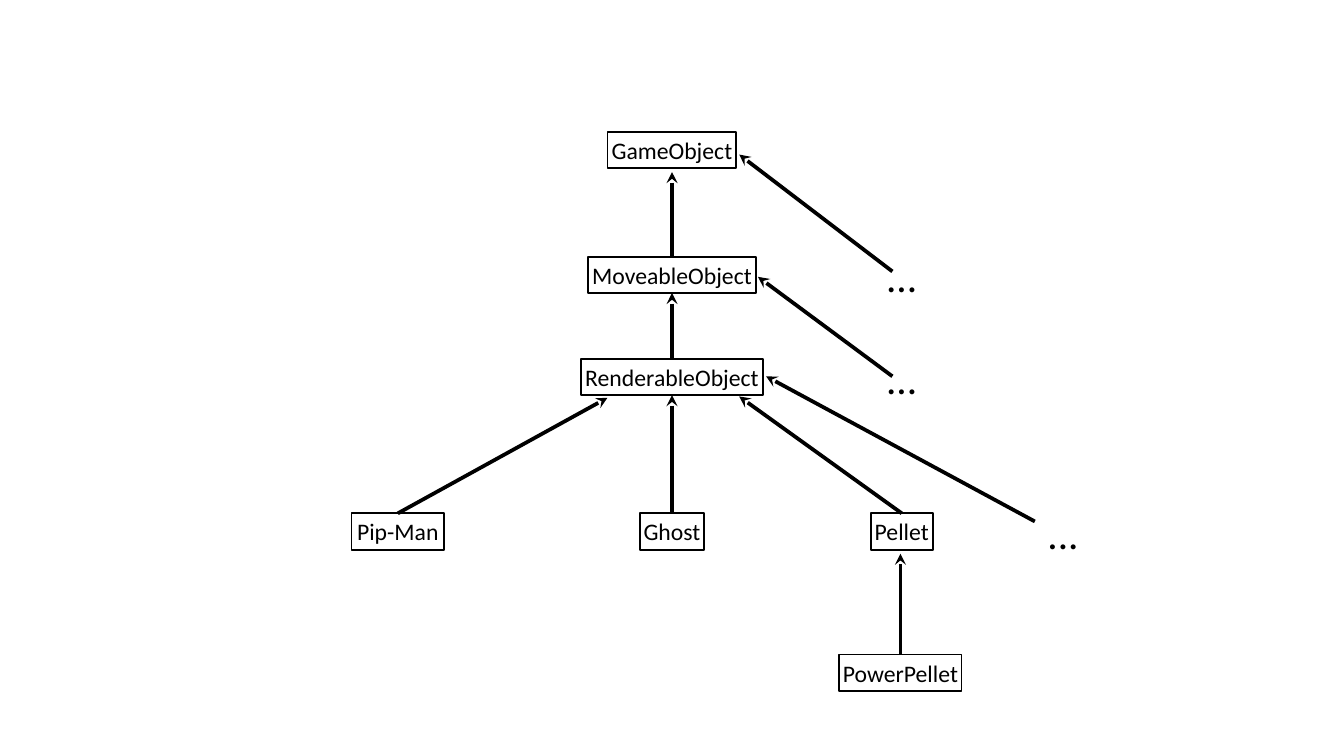
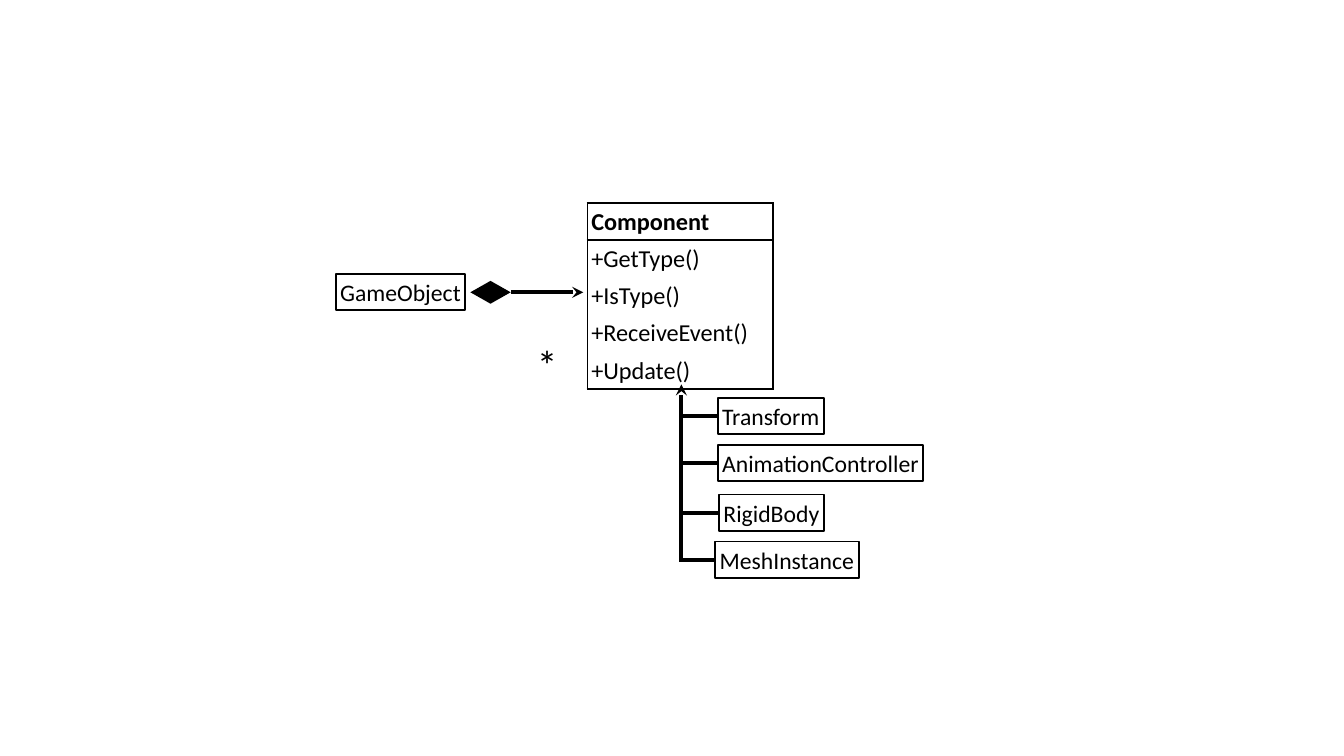
from collections import namedtuple

from lxml.etree import SubElement
from pptx import Presentation
from pptx.dml.color import RGBColor
from pptx.enum.shapes import MSO_CONNECTOR as Connector, MSO_SHAPE as Shape
from pptx.enum.text import MSO_ANCHOR as Anchor, MSO_AUTO_SIZE as AutoSize, PP_ALIGN as Align
from pptx.oxml.ns import qn
from pptx.util import Inches, Pt

COLOURS = {"ink": "000000"}
INK = RGBColor.from_string(COLOURS["ink"])
MARGINS = {f"margin_{side}": Inches(0.03) for side in ("left", "top", "right", "bottom")}
FRAME = {**MARGINS, "margin_left": Inches(0.02), "margin_right": Inches(0.02),
         "vertical_anchor": Anchor.MIDDLE, "word_wrap": False,
         "auto_size": AutoSize.SHAPE_TO_FIT_TEXT}
CELL = {**MARGINS, "vertical_anchor": Anchor.MIDDLE}
CLASS_FONT = {"name": "Calibri", "size": Pt(12.7)}
MARK_FONT = {"name": "Calibri", "size": Pt(22.1)}
MEMBER_FONT = {"name": "Calibri", "size": Pt(13)}
CLASS_HEIGHT, MARK_HEIGHT = 0.27, 0.43
TOP, LEFT, BOTTOM, RIGHT = range(4)

Box = namedtuple("Box", "left top width height")


def apply(target, values):
    """Set every attribute in values on target."""
    for name, value in values.items():
        setattr(target, name, value)


def write(para, text, font):
    """Put one run of ink-coloured text into a paragraph."""
    span = para.add_run()
    span.text = text
    apply(span.font, font)
    span.font.color.rgb = INK


def fill_label(shape, text, font):
    """Centre a line of text in a shape that fits its text."""
    apply(shape.text_frame, FRAME)
    para = shape.text_frame.paragraphs[0]
    para.alignment = Align.CENTER
    write(para, text, font)


def add_class(page, box, text, centre, top, width):
    """Draw an outlined class name centred on a column of the box."""
    shape = page.shapes.add_shape(
        Shape.RECTANGLE, Inches(box.left + centre - width / 2), Inches(box.top + top),
        Inches(width), Inches(CLASS_HEIGHT))
    shape.shadow.inherit = False
    shape.fill.background()
    shape.line.color.rgb = INK
    shape.line.width = Pt(1)
    fill_label(shape, text, CLASS_FONT)
    return shape


def add_mark(page, box, text, centre, top, width=0.3):
    """Write a large mark centred on a column of the box."""
    mark = page.shapes.add_textbox(
        Inches(box.left + centre - width / 2), Inches(box.top + top),
        Inches(width), Inches(MARK_HEIGHT))
    fill_label(mark, text, MARK_FONT)


def add_link(page, box, start, end, arrow=True):
    """Join two ends, each a point in the box or a shape with a side."""
    points = []
    for first, second in (start, end):
        joined = hasattr(first, "shape_id")
        points += [0, 0] if joined else [Inches(box.left + first), Inches(box.top + second)]
    link = page.shapes.add_connector(Connector.STRAIGHT, *points)
    for place, connect in ((start, link.begin_connect), (end, link.end_connect)):
        if hasattr(place[0], "shape_id"):
            connect(*place)
    link.line.color.rgb = INK
    link.line.width = Pt(2)
    properties = link.element.spPr
    if arrow:
        SubElement(properties.find(qn("a:ln")), qn("a:headEnd"), type="stealth")
    SubElement(properties, qn("a:effectLst"))


def set_borders(cell, visible):
    """Draw the visible sides of a cell and clear the others."""
    properties = cell._tc.get_or_add_tcPr()
    for side in "LRTB":
        line = SubElement(properties, qn(f"a:ln{side}"), w=str(Pt(1)))
        if side in visible:
            fill = SubElement(line, qn("a:solidFill"))
            SubElement(fill, qn("a:srgbClr"), val=COLOURS["ink"])
        else:
            SubElement(line, qn("a:noFill"))


def draw_component(page, box):
    """Draw the class table with its name and members."""
    rows = ["Component", "+GetType()", "+IsType()", "+ReceiveEvent()", "+Update()"]
    table = page.shapes.add_table(len(rows), 1, *map(Inches, box)).table
    apply(table, {"first_row": False, "horz_banding": False})
    for index, text in enumerate(rows):
        cell = table.cell(index, 0)
        apply(cell, CELL)
        sides = {0: "LRTB", 1: "LRT", len(rows) - 1: "LRB"}.get(index, "LR")
        set_borders(cell, sides)
        cell.fill.background()
        write(cell.text_frame.paragraphs[0], text, {**MEMBER_FONT, "bold": index == 0})


def draw_hierarchy(page, box):
    """Draw the inheritance tree of game classes."""
    classes = [
        ("GameObject", 2.4, 0.03, 0.96), ("MoveableObject", 2.4, 0.96, 1.25),
        ("RenderableObject", 2.4, 1.72, 1.35), ("Pip-Man", 0.36, 2.87, 0.69),
        ("Ghost", 2.4, 2.87, 0.48), ("Pellet", 4.11, 2.87, 0.46),
        ("PowerPellet", 4.1, 3.92, 0.91),
    ]
    node = {item[0]: add_class(page, box, *item) for item in classes}
    for centre, top in ((5.31, 2.8), (4.11, 1.65), (4.11, 0.89)):
        add_mark(page, box, "...", centre, top)
    links = [
        ((2.4, 0.33), (node["MoveableObject"], TOP)),
        ((node["MoveableObject"], BOTTOM), (node["RenderableObject"], TOP)),
        ((node["RenderableObject"], BOTTOM), (node["Ghost"], TOP)),
        ((1.92, 2.01), (node["Pip-Man"], TOP)),
        ((2.9, 2), (node["Pellet"], TOP)),
        ((4.1, 3.17), (node["PowerPellet"], TOP)),
        ((2.9, 0.2), (4.04, 1.07)),
        ((3.04, 1.11), (4.04, 1.85)),
        ((3.1, 1.85), (5.1, 2.93)),
    ]
    for start, end in links:
        add_link(page, box, start, end)


def draw_subclasses(page, box):
    """Draw the component kinds hanging from one trunk."""
    add_link(page, box, (0, 0), (0, 1.32))
    kinds = [("Transform", 0.27, 0.1, 0.79), ("AnimationController", 0.27, 0.45, 1.53),
             ("RigidBody", 0.28, 0.82, 0.78), ("MeshInstance", 0.25, 1.17, 1.07)]
    for text, left, top, width in kinds:
        kind = add_class(page, box, text, left + width / 2, top, width)
        add_link(page, box, (kind, LEFT), (0, top + CLASS_HEIGHT / 2), arrow=False)


def draw_owner(page, box):
    """Draw the game object that is composed of many components."""
    add_class(page, box, "GameObject", 0.48, 0, 0.96)
    middle, diamond_height = CLASS_HEIGHT / 2, 0.17
    diamond = page.shapes.add_shape(
        Shape.DIAMOND, Inches(box.left + 1), Inches(box.top + middle - diamond_height / 2),
        Inches(0.3), Inches(diamond_height))
    diamond.shadow.inherit = False
    diamond.fill.solid()
    diamond.fill.fore_color.rgb = INK
    diamond.line.fill.background()
    add_link(page, box, (1.84, middle), (diamond, RIGHT))
    add_mark(page, box, "*", 1.57, 0.45, 0.21)


def main():
    """Build the two class diagrams and save the deck."""
    deck = Presentation()
    apply(deck, {"slide_width": Inches(10), "slide_height": Inches(10) * 9 // 16})
    diagrams = [
        [(draw_hierarchy, Box(2.6, 0.95, 5.5, 4.2))],
        [(draw_subclasses, Box(5.07, 2.86, 1.8, 1.44)),
         (draw_component, Box(4.37, 1.51, 1.38, 1.38)),
         (draw_owner, Box(2.5, 2.04, 1.84, 0.88))],
    ]
    for regions in diagrams:
        page = deck.slides.add_slide(deck.slide_layouts[6])
        for draw, box in regions:
            draw(page, box)
    deck.save("out.pptx")


if __name__ == "__main__":
    main()
